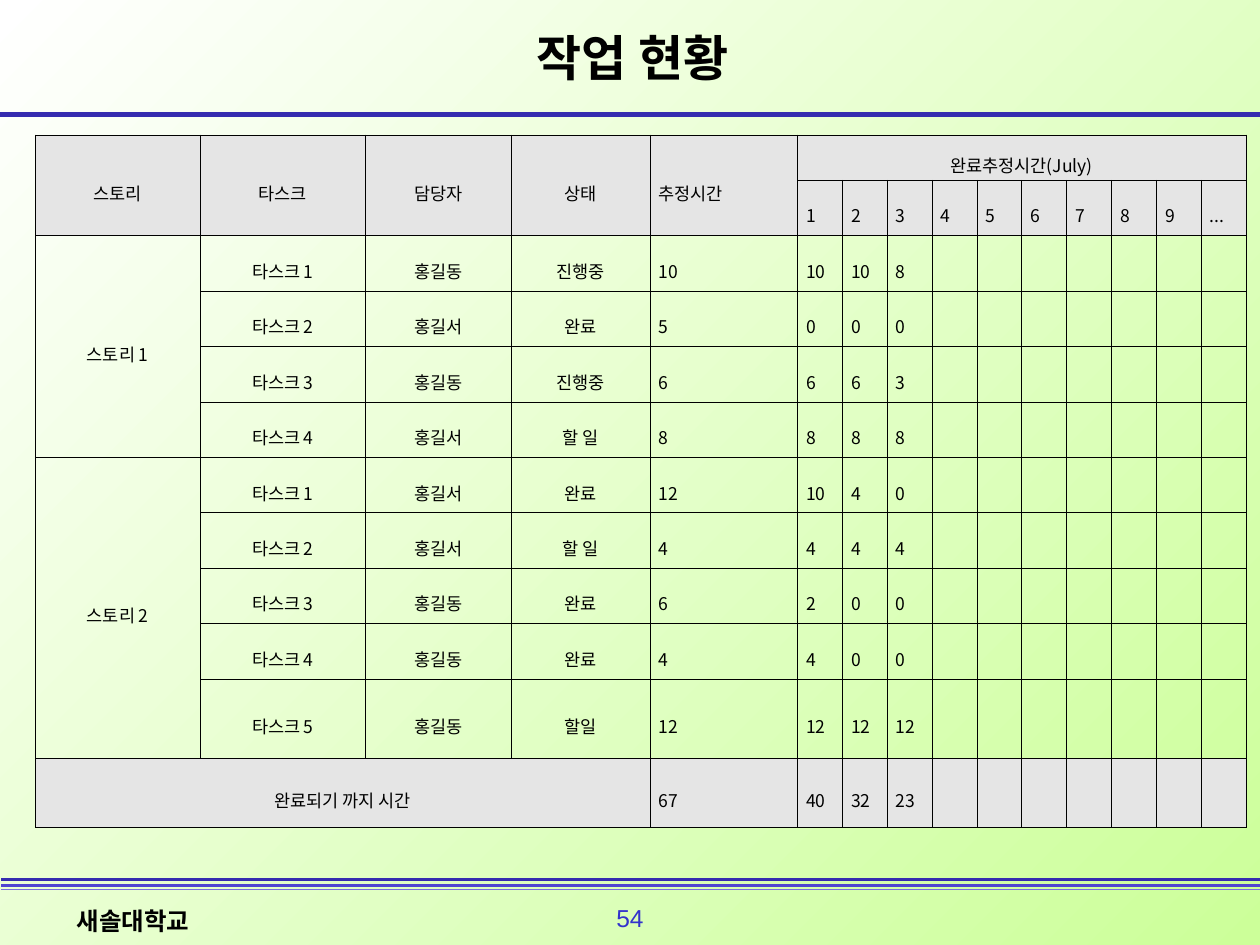
from dataclasses import dataclass

from lxml.etree import SubElement
from pptx import Presentation
from pptx.dml.color import RGBColor
from pptx.enum.shapes import MSO_CONNECTOR
from pptx.enum.text import MSO_ANCHOR, PP_ALIGN
from pptx.oxml.ns import qn
from pptx.util import Inches, Pt


@dataclass(frozen=True)
class Theme:
    korean: str = "Noto Sans CJK KR"
    latin: str = "Arial"
    ink: str = "000000"
    page: str = "3333CC"
    shade: str = "E5E5E5"
    background: tuple = ("FFFFFF", "CCFF99")
    rules: tuple = ("352CB0", "4F45D1", "7870DC")
    title_size: float = 28
    footer_size: float = 14
    cell_size: float = 10
    border: float = 0.28


TABLE_LEFT, TABLE_TOP = 0.28, 1.07
LABEL_WIDTHS = [1.31, 1.31, 1.16, 1.1, 1.17]
DAYS = ["1", "2", "3", "4", "5", "6", "7", "8", "9", "..."]
DAYS_WIDTH = 3.56
COLUMN_WIDTHS = LABEL_WIDTHS + [DAYS_WIDTH / len(DAYS)] * len(DAYS)
ROW_HEIGHTS = [0.36] + [0.44] * 9 + [0.63, 0.55]
FIRST_DAY = len(LABEL_WIDTHS)
JUSTIFIED_FROM = 7

HEADINGS = ["스토리", "타스크", "담당자", "상태", "추정시간", "완료추정시간(July)"]
# Each task: owner, state, estimate, hours left on each recorded day
STORIES = {
    "스토리 1": [
        ("홍길동", "진행중", 10, 10, 10, 8),
        ("홍길서", "완료", 5, 0, 0, 0),
        ("홍길동", "진행중", 6, 6, 6, 3),
        ("홍길서", "할 일", 8, 8, 8, 8),
    ],
    "스토리 2": [
        ("홍길서", "완료", 12, 10, 4, 0),
        ("홍길서", "할 일", 4, 4, 4, 4),
        ("홍길동", "완료", 6, 2, 0, 0),
        ("홍길동", "완료", 4, 4, 0, 0),
        ("홍길동", "할일", 12, 12, 12, 12),
    ],
}
TOTALS = ["완료되기 까지 시간", "", "", "", 67, 40, 32, 23]


def status_rows():
    """Return the table's rows and its merged areas (top, left, bottom, right)."""
    rows = [HEADINGS, [""] * FIRST_DAY + DAYS]
    merges = [(0, column, 1, column) for column in range(FIRST_DAY)]
    merges.append((0, FIRST_DAY, 0, len(COLUMN_WIDTHS) - 1))
    for story, tasks in STORIES.items():
        top = len(rows)
        for number, task in enumerate(tasks, 1):
            rows.append([story if number == 1 else "", f"타스크 {number}", *task])
        merges.append((top, 0, len(rows) - 1, 0))
    merges.append((len(rows), 0, len(rows), 3))
    rows.append(TOTALS)
    return rows, merges


def cell_alignment(row, column):
    if column < FIRST_DAY - 1 or (row == 0 and column == FIRST_DAY):
        return PP_ALIGN.CENTER
    if row >= JUSTIFIED_FROM and column >= FIRST_DAY:
        return PP_ALIGN.JUSTIFY
    return PP_ALIGN.LEFT


def apply(target, values):
    for name, value in values.items():
        setattr(target, name, value)


class SlideBuilder:
    def __init__(self, slide, theme):
        self.slide = slide
        self.theme = theme

    def background(self):
        fill = self.slide.background.fill
        fill.gradient()
        fill.gradient_angle = 315
        for position, (stop, color) in enumerate(
            zip(fill.gradient_stops, self.theme.background)
        ):
            stop.position = position
            stop.color.rgb = RGBColor.from_string(color)

    def rule(self, left, right, y, color, weight):
        line = self.slide.shapes.add_connector(
            MSO_CONNECTOR.STRAIGHT, Inches(left), Inches(y), Inches(right), Inches(y)
        )
        line.line.color.rgb = RGBColor.from_string(color)
        line.line.width = Pt(weight)
        SubElement(line._element.spPr, qn("a:effectLst"))

    def styled_run(self, paragraph, words, size, font, color, **values):
        run = paragraph.add_run()
        run.text = words
        apply(run.font, {"size": Pt(size), "name": font, **values})
        run.font.color.rgb = RGBColor.from_string(color)
        SubElement(run._r.get_or_add_rPr(), qn("a:ea"), typeface=font)

    def text(self, words, box, size, font, color, align, wrap=True, **values):
        frame = self.slide.shapes.add_textbox(*map(Inches, box)).text_frame
        apply(frame, {"word_wrap": wrap, "vertical_anchor": MSO_ANCHOR.MIDDLE})
        paragraph = frame.paragraphs[0]
        paragraph.alignment = align
        self.styled_run(paragraph, words, size, font, color, **values)

    def cell(self, cell, words, align, shaded):
        theme = self.theme
        apply(cell, {
            "vertical_anchor": MSO_ANCHOR.MIDDLE,
            "margin_left": Inches(0.07), "margin_right": Inches(0.07),
            "margin_top": Inches(0.02), "margin_bottom": Inches(0.02),
        })
        properties = cell._tc.get_or_add_tcPr()
        for side in ("lnL", "lnR", "lnT", "lnB"):
            border = SubElement(properties, qn(f"a:{side}"), w=str(Pt(theme.border)))
            solid = SubElement(border, qn("a:solidFill"))
            SubElement(solid, qn("a:srgbClr"), val=theme.ink)
        if shaded:
            cell.fill.solid()
            cell.fill.fore_color.rgb = RGBColor.from_string(theme.shade)
        else:
            cell.fill.background()
        paragraph = cell.text_frame.paragraphs[0]
        apply(paragraph, {"alignment": align, "line_spacing": 1.6})
        if words:
            self.styled_run(paragraph, words, theme.cell_size, theme.korean, theme.ink)
        else:
            paragraph.font.size = Pt(theme.cell_size)

    def table(self, rows, merges):
        box = (TABLE_LEFT, TABLE_TOP, sum(COLUMN_WIDTHS), sum(ROW_HEIGHTS))
        table = self.slide.shapes.add_table(
            len(ROW_HEIGHTS), len(COLUMN_WIDTHS), *map(Inches, box)
        ).table
        apply(table, {"first_row": False, "horz_banding": False})
        for column, width in zip(table.columns, COLUMN_WIDTHS):
            column.width = Inches(width)
        for row, height in zip(table.rows, ROW_HEIGHTS):
            row.height = Inches(height)
        for top, left, bottom, right in merges:
            table.cell(top, left).merge(table.cell(bottom, right))
        for r, values in enumerate(rows):
            shaded = r < 2 or r == len(rows) - 1
            for c in range(len(COLUMN_WIDTHS)):
                words = str(values[c]) if c < len(values) else ""
                self.cell(table.cell(r, c), words, cell_alignment(r, c), shaded)


def main():
    deck = Presentation()
    apply(deck, {"slide_width": Inches(10), "slide_height": Inches(7.5)})
    theme = Theme()
    builder = SlideBuilder(deck.slides.add_slide(deck.slide_layouts[6]), theme)
    dark, medium, light = theme.rules

    builder.background()
    builder.rule(-0.04, 10, 0.91, dark, 3)
    for y, color, weight in ((7.03, medium, 1.5), (7.06, light, 1), (6.98, dark, 2.25)):
        builder.rule(0.01, 10.01, y, color, weight)
    builder.text("54", (4.78, 7.12, 0.44, 0.33), theme.footer_size, theme.latin,
                 theme.page, PP_ALIGN.CENTER, wrap=False)
    builder.text("새솔대학교", (0.51, 7.14, 2.84, 0.33), theme.footer_size,
                 theme.korean, theme.ink, PP_ALIGN.LEFT, bold=True)
    builder.text("작업 현황", (2.48, 0.28, 5.08, 0.35), theme.title_size,
                 theme.korean, theme.ink, PP_ALIGN.CENTER, bold=True)
    builder.table(*status_rows())
    deck.save("out.pptx")


if __name__ == "__main__":
    main()
